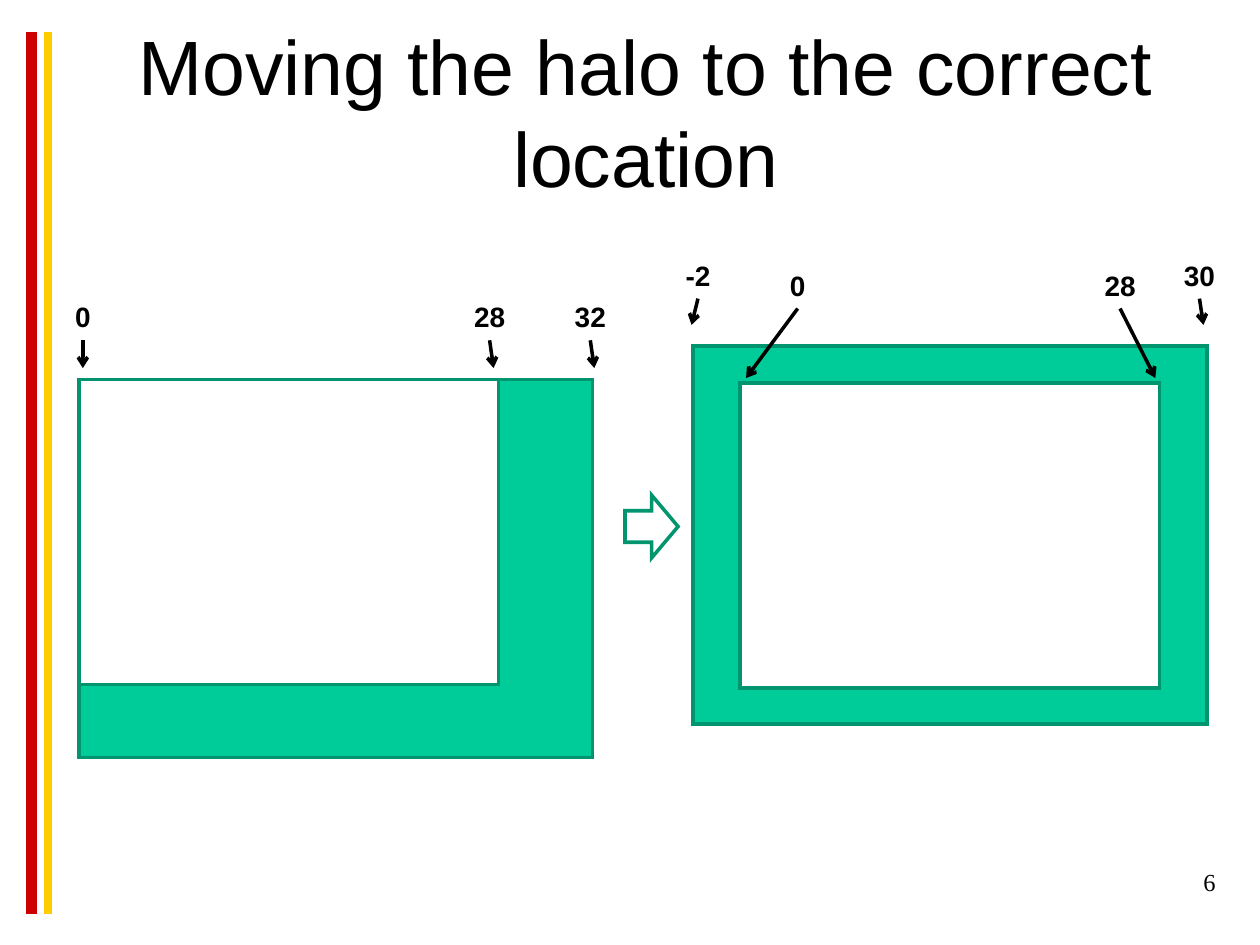
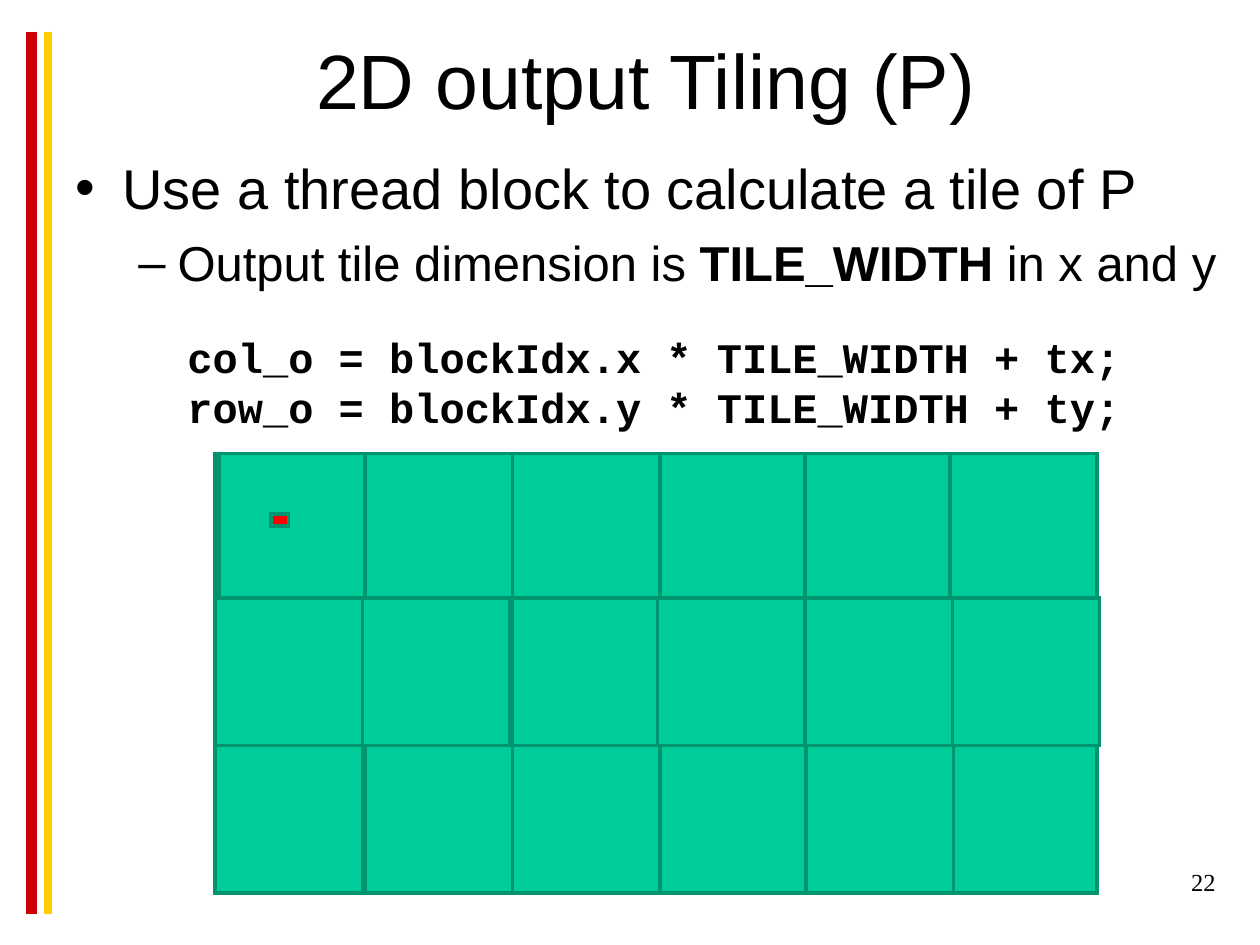
from lxml.etree import SubElement
from pptx import Presentation
from pptx.dml.color import RGBColor
from pptx.enum.shapes import MSO_CONNECTOR, MSO_SHAPE
from pptx.enum.text import MSO_ANCHOR, MSO_AUTO_SIZE, PP_ALIGN
from pptx.oxml.ns import qn
from pptx.util import Cm, Pt

COLOURS = {
    "ink": "000000",
    "paper": "FFFFFF",
    "halo": "00CC99",
    "edge": "00956F",
    "element": "FF0000",
    "red_band": "CC0000",
    "yellow_band": "FFCC00",
}
TITLE_LEFT, TITLE_WIDTH, TITLE_HEIGHT = 1.27, 23.5, 2.33
LABEL_WIDTHS = {"0": 0.82, "-2": 1.02}
LABEL_HEIGHT = 0.94
TILE_SIDE = 2.97
TILE_ROWS = (
    (0, (0.08, 3.02, 5.99, 8.97, 11.89, 14.81)),
    (2.92, (0, 2.97, 5.99, 8.92, 11.89, 14.86)),
    (5.89, (0, 3.02, 5.99, 8.97, 11.91)),
)


def colour(name):
    """Return the named palette colour."""
    return RGBColor.from_string(COLOURS[name])


def add_run(paragraph, text, size, font="Arial", bold=False):
    """Append one formatted run to a paragraph."""
    run = paragraph.add_run()
    run.text = text
    run.font.name = font
    run.font.size = Pt(size)
    run.font.bold = bold
    run.font.color.rgb = colour("ink")


def add_text_area(slide, box, wrap=True, grow=False):
    """Add an empty text box and return it."""
    area = slide.shapes.add_textbox(*map(Cm, box))
    area.text_frame.word_wrap = wrap
    area.text_frame.auto_size = (
        MSO_AUTO_SIZE.SHAPE_TO_FIT_TEXT if grow else MSO_AUTO_SIZE.NONE)
    return area


def add_block(slide, box, fill="halo", outline=MSO_SHAPE.RECTANGLE):
    """Add a block with a sharp-cornered edge, unfilled when fill is None."""
    block = slide.shapes.add_shape(outline, *map(Cm, box))
    block.shadow.inherit = False
    if fill:
        block.fill.solid()
        block.fill.fore_color.rgb = colour(fill)
    else:
        block.fill.background()
    block.line.color.rgb = colour("edge")
    block.line.width = Pt(2)
    SubElement(block.line._get_or_add_ln(), qn("a:miter"), lim="800000")


def add_rule(slide, start, end, ink, width):
    """Add a straight line without shadow and return it."""
    rule = slide.shapes.add_connector(
        MSO_CONNECTOR.STRAIGHT, *map(Cm, (*start, *end)))
    rule.line.color.rgb = colour(ink)
    rule.line.width = Pt(width)
    SubElement(rule._element.spPr, qn("a:effectLst"))
    return rule


def add_slide(deck, title, title_top, number):
    """Start a slide with its bands, title and page number."""
    slide = deck.slides.add_slide(deck.slide_layouts[5])
    for x, ink, width in ((0.64, "red_band", 6), (0.97, "yellow_band", 4.5)):
        add_rule(slide, (x, 0.64), (x, 18.42), ink, width)

    heading = slide.shapes.title
    heading.left, heading.top = Cm(TITLE_LEFT), Cm(title_top)
    heading.width, heading.height = Cm(TITLE_WIDTH), Cm(TITLE_HEIGHT)
    frame = heading.text_frame
    frame.word_wrap = True
    frame.auto_size = MSO_AUTO_SIZE.NONE
    frame.vertical_anchor = MSO_ANCHOR.MIDDLE
    frame.paragraphs[0].alignment = PP_ALIGN.CENTER
    add_run(frame.paragraphs[0], title, 44)

    page = add_text_area(slide, (19.48, 17.35, 5.28, 1.27))
    page_line = page.text_frame.paragraphs[0]
    page_line.alignment = PP_ALIGN.RIGHT
    add_run(page_line, str(number), 14, "Times New Roman")
    return slide


def add_index_marker(slide, index, centre, top, tip):
    """Add an index label with an arrow from its foot to the tip."""
    width = LABEL_WIDTHS.get(index, 1.2)
    label = add_text_area(
        slide, (centre - width / 2, top, width, LABEL_HEIGHT), False, True)
    label_line = label.text_frame.paragraphs[0]
    label_line.alignment = PP_ALIGN.CENTER
    add_run(label_line, index, 16, bold=True)
    pointer = add_rule(slide, (centre, top + LABEL_HEIGHT), tip, "ink", 2)
    pointer.begin_connect(label, 2)
    SubElement(pointer.line._get_or_add_ln(), qn("a:tailEnd"), type="arrow")


def add_halo_panel(slide, box, core_offset, markers):
    """Draw a halo around its core, with index markers above."""
    left, top, width, height = box
    add_block(slide, box)
    core_x, core_y = core_offset
    add_block(slide, (left + core_x, top + core_y, 8.46, 6.15), "paper")
    for index, centre, label_top, tip_x, tip_y in markers:
        add_index_marker(slide, index, left + centre, top + label_top,
                         (left + tip_x, top + tip_y))


def add_bullets(slide, box, items):
    """Add bulleted paragraphs of (level, mark, margin, hang, size, gap, runs)."""
    frame = add_text_area(slide, box).text_frame
    for position, (level, mark, margin, hang, size, gap, runs) in enumerate(items):
        line = frame.add_paragraph() if position else frame.paragraphs[0]
        line.level = level
        properties = line._p.get_or_add_pPr()
        properties.set("marL", str(Cm(margin)))
        properties.set("indent", str(-Cm(hang)))
        SubElement(properties, qn("a:buFont"), typeface="Arial")
        SubElement(properties, qn("a:buChar"), char=mark)
        if gap:
            line.space_before = Pt(gap)
        for text, bold in runs:
            add_run(line, text, size, bold=bold)


def add_code(slide, box, lines):
    """Add code lines in a monospaced font."""
    frame = add_text_area(slide, box, grow=True).text_frame
    for position, code in enumerate(lines):
        line = frame.add_paragraph() if position else frame.paragraphs[0]
        add_run(line, code, 24, "Courier New", True)


def add_tile_grid(slide, box):
    """Draw the output area, its tiles and one highlighted element."""
    left, top, _, _ = box
    add_block(slide, box)
    for row_top, tile_lefts in TILE_ROWS:
        for tile_left in tile_lefts:
            add_block(slide, (left + tile_left, top + row_top,
                              TILE_SIDE, TILE_SIDE))
    add_block(slide, (left + 1.12, top + 1.22, 0.36, 0.25), "element")


def build_halo_slide(deck):
    """Build the slide that shifts the halo around the core."""
    slide = add_slide(deck, "Moving the halo to the correct location", 1.07, 6)
    add_halo_panel(slide, (1.59, 7.65, 10.36, 7.62), (0, 0), (
        ("0", 0.08, -1.73, 0.08, -0.23),
        ("28", 8.28, -1.73, 8.36, -0.23),
        ("32", 10.31, -1.73, 10.39, -0.23),
    ))
    add_halo_panel(slide, (13.97, 6.98, 10.36, 7.62), (0.95, 0.74), (
        ("-2", 0.1, -1.9, -0.03, -0.43),
        ("0", 2.11, -1.7, 1.07, 0.64),
        ("28", 8.61, -1.7, 9.32, 0.64),
        ("30", 10.21, -1.9, 10.29, -0.43),
    ))
    add_block(slide, (12.6, 9.98, 1.07, 1.27), None, MSO_SHAPE.RIGHT_ARROW)


def build_tiling_slide(deck):
    """Build the slide that explains output tiling."""
    slide = add_slide(deck, "2D output Tiling (P)", 0.43, 22)
    add_bullets(slide, (1.27, 2.97, 23.57, 13.2), (
        (0, "•", 0.95, 0.95, 32, 0,
         (("Use a thread block to calculate a tile of P", False),)),
        (1, "–", 2.06, 0.79, 28, 7,
         (("Output tile dimension is ", False), ("TILE_WIDTH", True),
          (" in x and y", False))),
    ))
    add_tile_grid(slide, (4.34, 9.14, 17.78, 8.86))
    add_code(slide, (3.53, 6.55, 19.4, 2.29), (
        "col_o = blockIdx.x * TILE_WIDTH + tx;",
        "row_o = blockIdx.y * TILE_WIDTH + ty;",
    ))


def main():
    """Build and save the deck."""
    deck = Presentation()
    deck.slide_width, deck.slide_height = Cm(25.4), Cm(19.05)
    build_halo_slide(deck)
    build_tiling_slide(deck)
    deck.save("out.pptx")


if __name__ == "__main__":
    main()
